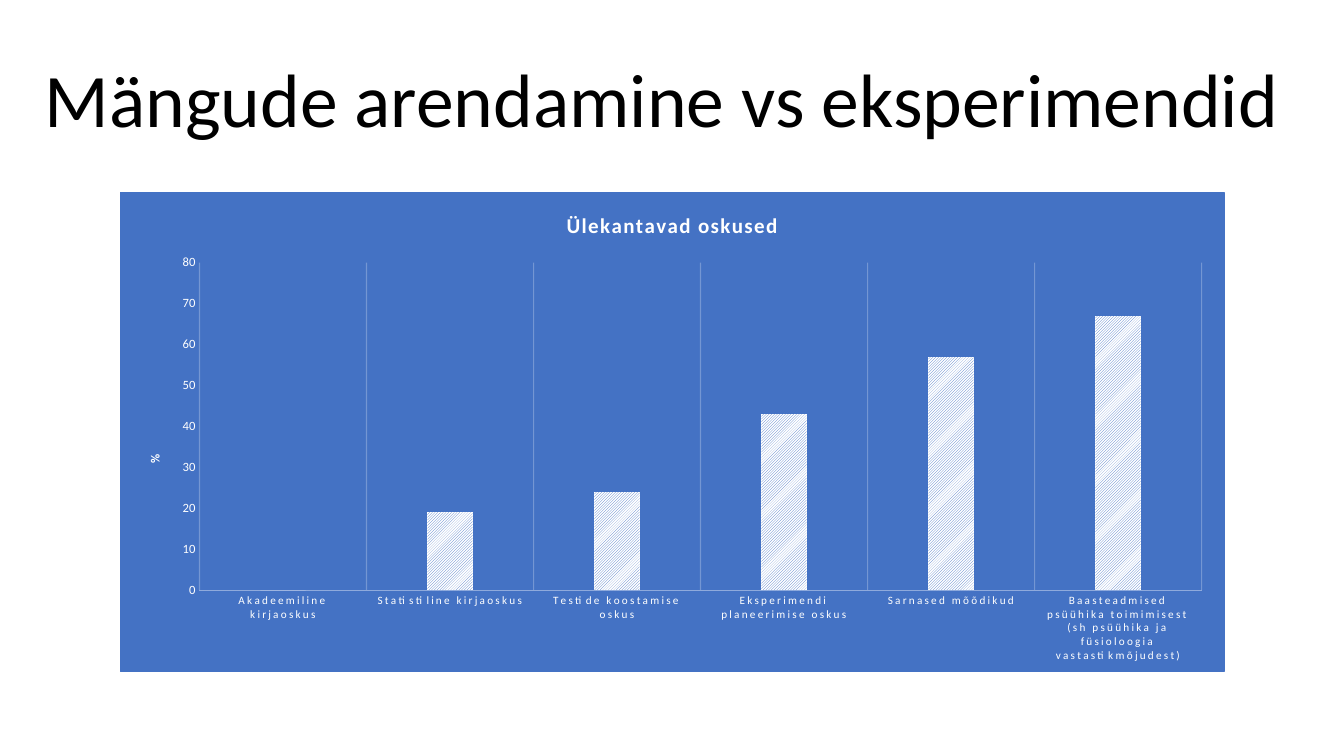
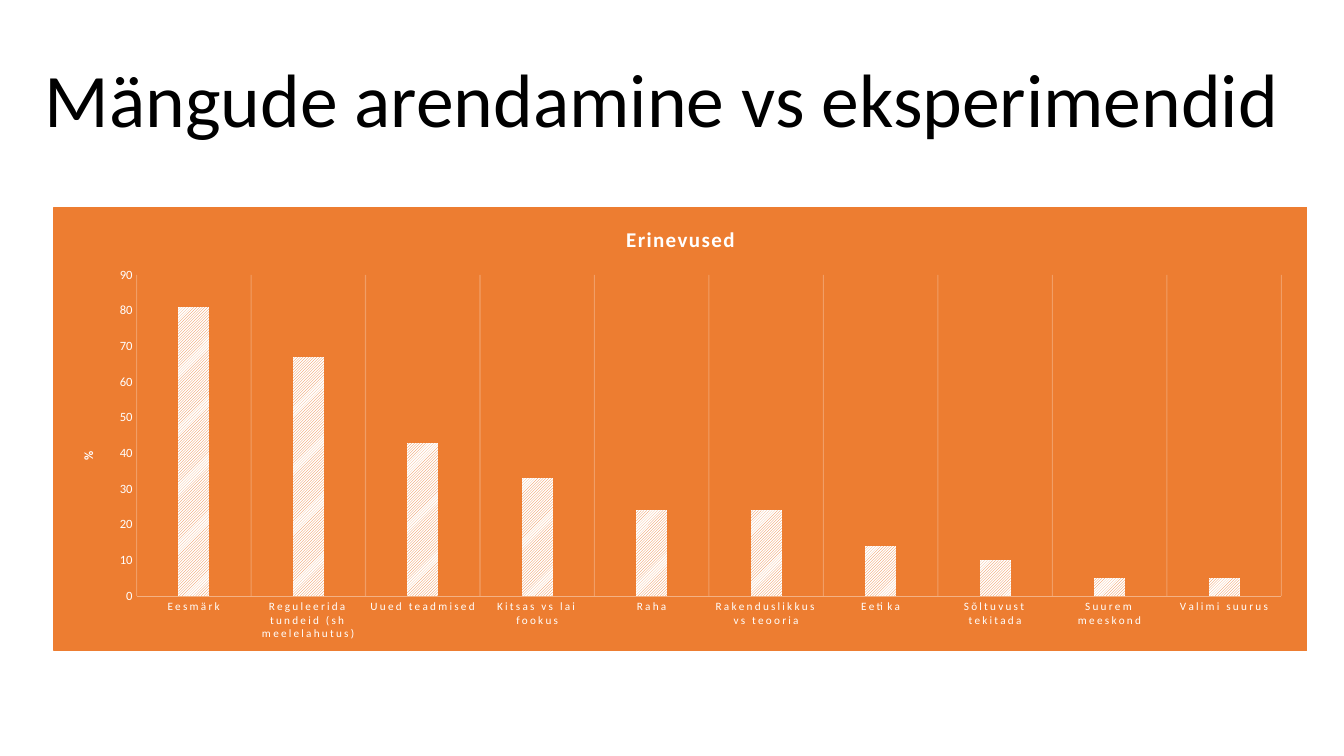
from lxml import etree
from pptx import Presentation
from pptx.chart.data import CategoryChartData
from pptx.dml.color import RGBColor
from pptx.enum.chart import XL_CHART_TYPE as CT, XL_TICK_MARK as TM
from pptx.enum.dml import MSO_PATTERN
from pptx.enum.text import MSO_ANCHOR, MSO_AUTO_SIZE, PP_ALIGN
from pptx.oxml import parse_xml
from pptx.oxml.ns import nsdecls, qn
from pptx.util import Pt

# Content: boxes are left, top, width, height in points; plots are relative to their chart
COLORS = {"text": "000000", "white": "FFFFFF", "blue": "4472C4", "blue_line": "8FAADC",
          "orange": "ED7D31", "orange_line": "F4B183"}
FONT = "Calibri"
TITLE = "Mängude arendamine vs eksperimendid"
TITLE_BOX = (18.7, 41, 908, 104.4)
CHARTS = [
    {
        "title": "Ülekantavad oskused", "color": "blue", "max": 80,
        "box": (85.7, 136.8, 789, 343.4), "plot": (56.5, 50.5, 716.5, 234.5),
        "unit_at": (17, 186),
        "data": [
            ("Akadeemiline kirjaoskus", 0),
            ("Statistiline kirjaoskus", 19),
            ("Testide koostamise oskus", 24),
            ("Eksperimendi planeerimise oskus", 43),
            ("Sarnased mõõdikud", 57),
            ("Baasteadmised psüühika toimimisest "
             "(sh psüühika ja füsioloogia vastastikmõjudest)", 67),
        ],
    },
    {
        "title": "Erinevused", "color": "orange", "max": 90,
        "box": (38.2, 147.6, 895.7, 317.5), "plot": (59, 48.5, 818.5, 230),
        "unit_at": (17, 173),
        "data": [
            ("Eesmärk", 81),
            ("Reguleerida tundeid (sh meelelahutus)", 67),
            ("Uued teadmised", 43),
            ("Kitsas vs lai fookus", 33),
            ("Raha", 24),
            ("Rakenduslikkus vs teooria", 24),
            ("Eetika", 14),
            ("Sõltuvust tekitada", 10),
            ("Suurem meeskond", 5),
            ("Valimi suurus", 5),
        ],
    },
]


def rgb(name):
    return RGBColor.from_string(COLORS[name])


def set_font(font, size, color="white", bold=False):
    font.name, font.size, font.bold = FONT, Pt(size), bold
    font.color.rgb = rgb(color)


def add_title(s):
    title = s.shapes.title
    title.left, title.top, title.width, title.height = map(Pt, TITLE_BOX)
    tf = title.text_frame
    tf.text = TITLE
    tf.word_wrap, tf.auto_size = True, MSO_AUTO_SIZE.NONE
    tf.vertical_anchor = MSO_ANCHOR.TOP
    p = tf.paragraphs[0]
    p.alignment, p.line_spacing = PP_ALIGN.CENTER, 0.9
    set_font(p.runs[0].font, 54, "text")


def set_layout(parent, index, place, box, inner=False):
    """Place a chart part by hand, as fractions of the chart box."""
    for old in parent.findall(qn("c:layout")):
        parent.remove(old)
    layout = etree.Element(qn("c:layout"))
    manual = etree.SubElement(layout, qn("c:manualLayout"))
    values = [("layoutTarget", "inner")] if inner else []
    values += [("xMode", "edge"), ("yMode", "edge")]
    values += [(key, f"{part / whole:.4f}")
               for key, part, whole in zip("xywh", place, box[2:] * 2)]
    for key, value in values:
        etree.SubElement(manual, qn(f"c:{key}")).set("val", value)
    parent.insert(index, layout)


def add_bar_chart(s, item):
    data = CategoryChartData()
    data.categories = [name for name, _ in item["data"]]
    data.add_series(item["title"], [value for _, value in item["data"]])
    chart = s.shapes.add_chart(CT.COLUMN_CLUSTERED, *map(Pt, item["box"]), data).chart
    root, color = chart.element, item["color"]
    set_font(chart.font, 10, "text")
    chart.has_legend = False

    # Background
    root.find(qn("c:chart")).addnext(parse_xml(
        f'<c:spPr {nsdecls("c", "a")}>'
        f'<a:solidFill><a:srgbClr val="{COLORS[color]}"/></a:solidFill>'
        f'<a:ln w="{Pt(0.75)}"><a:solidFill><a:srgbClr val="{COLORS[color]}"/></a:solidFill>'
        '</a:ln></c:spPr>'))

    # Chart title
    chart.has_title = True
    tf = chart.chart_title.text_frame
    tf.text = item["title"]
    set_font(tf.paragraphs[0].runs[0].font, 15, bold=True)
    root.xpath("c:chart/c:title//a:rPr")[0].set("spc", "100")

    # Hatched columns
    plot = chart.plots[0]
    plot.gap_width, plot.overlap, plot.vary_by_categories = 269, -20, False
    fill = plot.series[0].format.fill
    fill.patterned()
    fill.pattern = MSO_PATTERN.LIGHT_UPWARD_DIAGONAL
    fill.fore_color.rgb, fill.back_color.rgb = rgb(color), rgb("white")

    # Axes
    cat, val = chart.category_axis, chart.value_axis
    for axis, size in ((cat, 8), (val, 9)):
        axis.major_tick_mark = axis.minor_tick_mark = TM.NONE
        set_font(axis.tick_labels.font, size)
    cat.format.line.color.rgb = rgb(f"{color}_line")
    cat.format.line.width = Pt(0.25)
    cat.has_major_gridlines = True
    grid = cat.major_gridlines.format.line
    grid.color.rgb, grid.width = rgb("white"), Pt(0.75)
    grid_color = root.xpath("//c:catAx/c:majorGridlines//a:srgbClr")[0]
    etree.SubElement(grid_color, qn("a:alpha")).set("val", "25000")
    root.xpath("//c:catAx/c:txPr//a:defRPr")[0].set("spc", "150")
    val.has_major_gridlines = False
    val.format.line.fill.background()
    val.minimum_scale, val.maximum_scale, val.major_unit = 0, item["max"], 10

    # Unit label
    val.has_title = True
    tf = val.axis_title.text_frame
    tf.text = "%"
    set_font(tf.paragraphs[0].runs[0].font, 9, bold=True)
    unit = root.xpath("//c:valAx/c:title")[0]
    body = unit.find(".//" + qn("a:bodyPr"))
    body.set("rot", "-5400000")
    body.set("vert", "horz")

    set_layout(unit, 1, item["unit_at"], item["box"])
    set_layout(root.xpath("//c:plotArea")[0], 0, item["plot"], item["box"], inner=True)


def main():
    prs = Presentation()
    prs.slide_width, prs.slide_height = Pt(960), Pt(540)
    for item in CHARTS:
        s = prs.slides.add_slide(prs.slide_layouts[5])
        add_title(s)
        add_bar_chart(s, item)
    prs.save("out.pptx")


if __name__ == "__main__":
    main()
